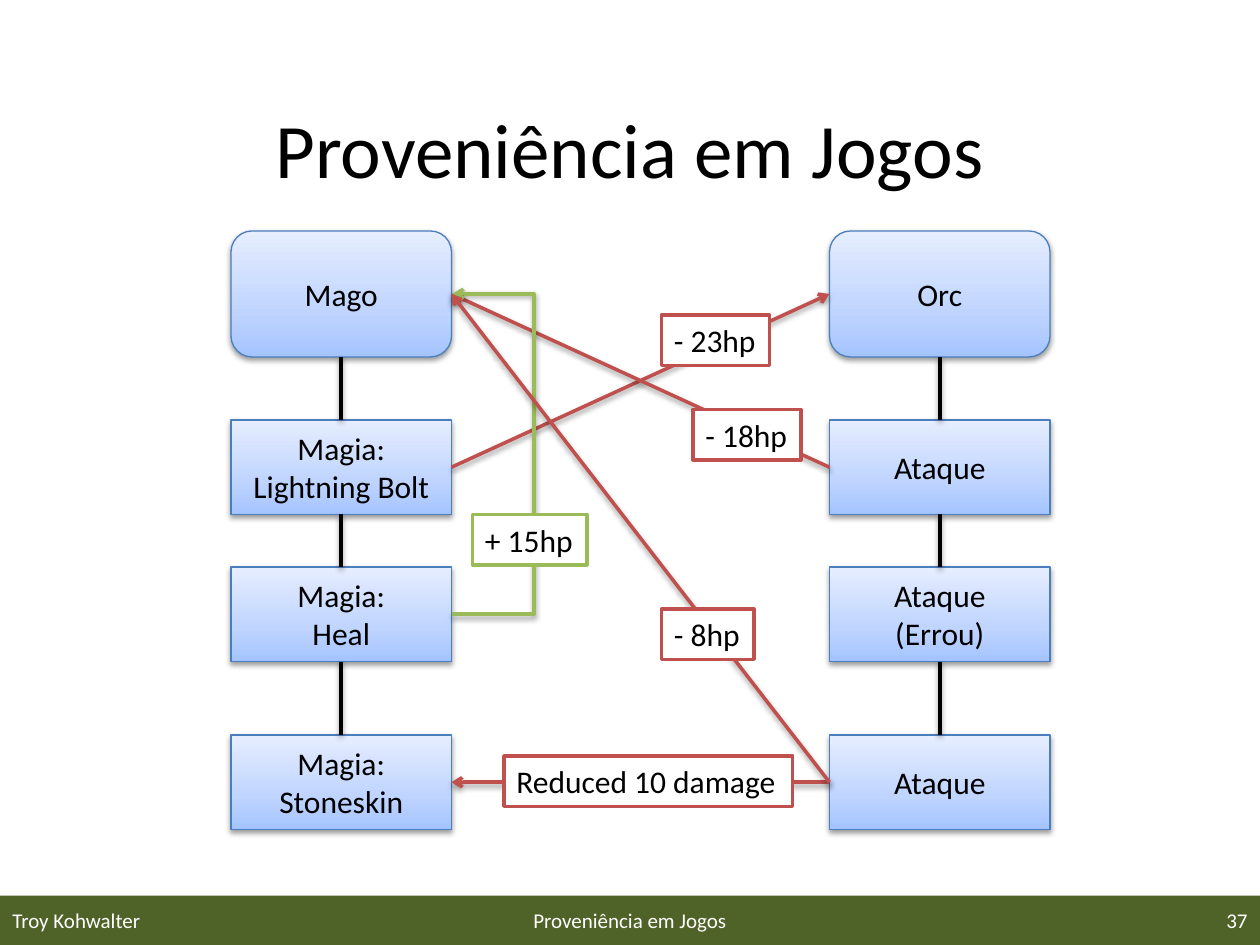
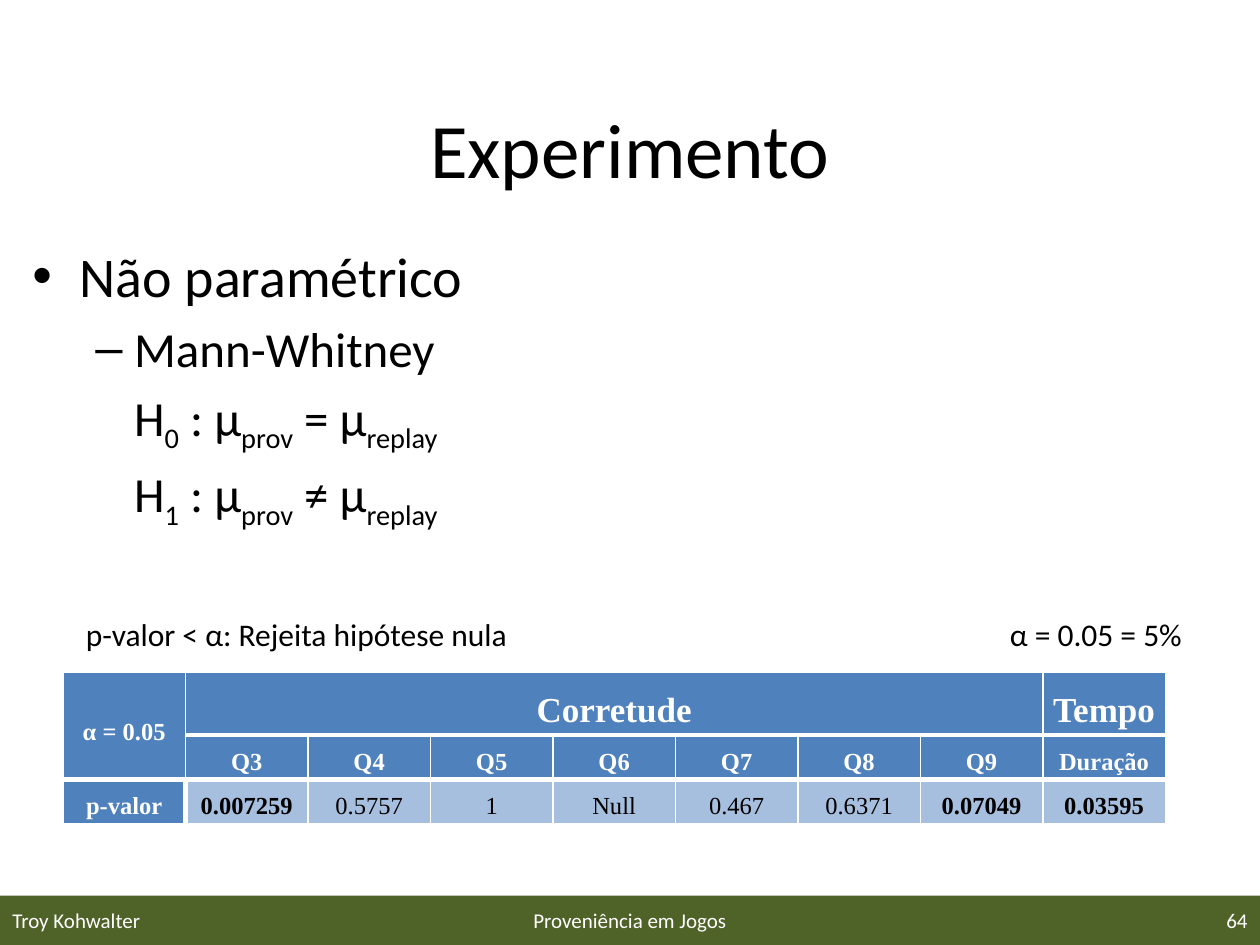
import copy

import lxml.etree
import pptx
import pptx.dml.color
import pptx.enum.shapes
import pptx.enum.text
import pptx.oxml.ns
import pptx.util

PX = 7620
SHAPES = pptx.enum.shapes.MSO_SHAPE
CONNECTORS = pptx.enum.shapes.MSO_CONNECTOR
ALIGN = pptx.enum.text.PP_ALIGN
ANCHOR = pptx.enum.text.MSO_ANCHOR
TOP, LEFT, BOTTOM, RIGHT = range(4)
BLACK, WHITE, RED, GREEN = "000000", "FFFFFF", "C0504D", "9BBB59"
BAND, BOX_LINE = "4F6228", "4B7EBC"
BOX_GRADIENT = ((0, "A4C4FF"), (0.35, "BFD4FF"), (1, "E6EEFF"))
HEADER_FILL, VALUE_FILL = "4F81BD", "A7BFDE"


def px(length):
    return pptx.util.Emu(length * PX)


def rgb(color):
    return pptx.dml.color.RGBColor.from_string(color)


def qn(tag):
    return pptx.oxml.ns.qn(tag)


def child(parent, tag, **attributes):
    return lxml.etree.SubElement(parent, qn(tag), attributes)


class Deck:
    author = "Troy Kohwalter"
    subject = "Proveniência em Jogos"
    font = "Calibri"

    def __init__(self):
        self.presentation = pptx.Presentation()
        self.presentation.slide_width = px(1200)
        self.presentation.slide_height = px(900)
        self.slide = None

    def new_slide(self, title, number):
        self.slide = self.presentation.slides.add_slide(self.presentation.slide_layouts[5])
        heading = self.slide.shapes.title
        heading.left, heading.top, heading.width, heading.height = map(px, (60, 66, 1080, 150))
        self.set_text(heading.text_frame, title, 44, align=ALIGN.CENTER, anchor=ANCHOR.MIDDLE)
        band = self.slide.shapes.add_shape(SHAPES.RECTANGLE, *map(px, (0, 853, 1200, 47)))
        band.shadow.inherit = False
        band.fill.solid()
        band.fill.fore_color.rgb = rgb(BAND)
        band.line.fill.background()
        for left, width, text, align in (
            (0, 280, self.author, ALIGN.LEFT),
            (410, 380, self.subject, ALIGN.CENTER),
            (920, 280, str(number), ALIGN.RIGHT),
        ):
            footer = self.text_area(left, 852, width, 48)
            self.set_text(footer, text, 12, WHITE, align, ANCHOR.MIDDLE)

    def style_run(self, run, size, color=BLACK, font=None, bold=False):
        run.font.size = pptx.util.Pt(size)
        run.font.name = font or self.font
        run.font.color.rgb = rgb(color)
        run.font.bold = bold

    def set_text(self, frame, text, size, color=BLACK, align=ALIGN.LEFT, anchor=ANCHOR.TOP,
                 font=None, bold=False):
        frame.text = text
        frame.vertical_anchor = anchor
        for paragraph in frame.paragraphs:
            paragraph.alignment = align
            for run in paragraph.runs:
                self.style_run(run, size, color, font, bold)

    def text_area(self, left, top, width, height):
        frame = self.slide.shapes.add_textbox(*map(px, (left, top, width, height))).text_frame
        frame.word_wrap = True
        return frame

    def cast_shadow(self, shape):
        properties = shape.element.spPr
        effects = properties.find(qn("a:effectLst"))
        if effects is None:
            effects = child(properties, "a:effectLst")
        shadow = child(effects, "a:outerShdw", blurRad="40000", dist="20000",
                       dir="5400000", rotWithShape="0")
        child(child(shadow, "a:srgbClr", val=BLACK), "a:alpha", val="38000")

    def box(self, left, top, height, text, outline):
        box = self.slide.shapes.add_shape(outline, *map(px, (left, top, 210, height)))
        box.fill.gradient()
        box.fill.gradient_angle = 90
        stops = box.element.spPr.find(".//" + qn("a:gsLst"))
        stops.append(copy.deepcopy(stops[0]))
        for stop, (position, color) in zip(box.fill.gradient_stops, BOX_GRADIENT):
            stop.position = position
            stop.color.rgb = rgb(color)
        box.line.color.rgb = rgb(BOX_LINE)
        box.line.width = pptx.util.Pt(0.75)
        box.shadow.inherit = False
        self.cast_shadow(box)
        self.set_text(box.text_frame, text, 18, align=ALIGN.CENTER, anchor=ANCHOR.MIDDLE)
        return box

    def style_line(self, line, color, arrow):
        line.line.color.rgb = rgb(color)
        line.line.width = pptx.util.Pt(2)
        if arrow:
            child(line.element.spPr.find(qn("a:ln")), "a:tailEnd", type="arrow")
        self.cast_shadow(line)

    def link(self, start, start_side, end, end_side, color, arrow=True):
        link = self.slide.shapes.add_connector(CONNECTORS.STRAIGHT, 0, 0, 0, 0)
        link.begin_connect(start, start_side)
        link.end_connect(end, end_side)
        self.style_line(link, color, arrow)

    def bent_arrow(self, left, start_y, end_y, reach, color):
        bent = self.slide.shapes.add_connector(
            CONNECTORS.ELBOW, *map(px, (left, start_y, left + 1, end_y)))
        adjustments = bent.element.spPr.find(".//" + qn("a:avLst"))
        child(adjustments, "a:gd", name="adj1", fmla=f"val {reach * 100000}")
        self.style_line(bent, color, True)

    def label(self, left, top, width, text, border=None):
        label = self.slide.shapes.add_textbox(*map(px, (left, top, width, 48)))
        label.text_frame.word_wrap = False
        label.text_frame.auto_size = pptx.enum.text.MSO_AUTO_SIZE.SHAPE_TO_FIT_TEXT
        if border:
            label.fill.solid()
            label.fill.fore_color.rgb = rgb(WHITE)
            label.line.color.rgb = rgb(border)
            label.line.width = pptx.util.Pt(2)
        self.set_text(label.text_frame, text, 18)

    def outline(self, left, top, width, height, items):
        frame = self.text_area(left, top, width, height)
        for index, (bullet, margin, indent, size, parts) in enumerate(items):
            paragraph = frame.paragraphs[0] if index == 0 else frame.add_paragraph()
            properties = paragraph._p.get_or_add_pPr()
            properties.set("marL", str(px(margin)))
            properties.set("indent", str(px(indent)))
            if bullet:
                child(properties, "a:buFont", typeface="Arial")
                child(properties, "a:buChar", char=bullet)
            else:
                child(properties, "a:buNone")
            if index:
                paragraph.space_before = pptx.util.Pt(size * 0.2)
            for position, part in enumerate(parts):
                run = paragraph.add_run()
                run.text = part
                self.style_run(run, size)
                if position % 2:
                    run.font._element.set("baseline", "-25000")

    def cell(self, cell, text, size, color, fill, bold, borders):
        cell.margin_left = cell.margin_right = px(8)
        cell.margin_top = cell.margin_bottom = 0
        self.set_text(cell.text_frame, text, size, color, ALIGN.CENTER,
                      font="Times New Roman", bold=bold)
        cell.text_frame.paragraphs[0].line_spacing = 1.5
        properties = cell._tc.get_or_add_tcPr()
        for side, width in zip("LRTB", borders):
            border = child(properties, f"a:ln{side}", w=str(pptx.util.Pt(width)))
            child(child(border, "a:solidFill"), "a:srgbClr", val=WHITE)
        cell.fill.solid()
        cell.fill.fore_color.rgb = rgb(fill)

    def results_table(self, left, top, width, heights, rows, bold_values):
        frame = self.slide.shapes.add_table(
            len(rows), len(rows[0]), *map(px, (left, top, width, sum(heights))))
        table = frame.table
        table.horz_banding = False
        last = len(rows) - 1
        for r, texts in enumerate(rows):
            table.rows[r].height = px(heights[r])
            for c, text in enumerate(texts):
                is_value = r == last and c > 0
                borders = (
                    3 if r == last and c == 1 else 1,
                    3 if r == last and c == 0 else 1,
                    3 if r > 0 else 1,
                    3 if r < last else 1,
                )
                self.cell(table.cell(r, c), text, 20 if r == 0 and c else 14,
                          BLACK if is_value else WHITE,
                          VALUE_FILL if is_value else HEADER_FILL,
                          not is_value or c in bold_values, borders)
        return table


def provenance_slide(deck):
    deck.new_slide("Proveniência em Jogos", 37)
    tops = (220, 400, 540, 700)
    timelines = (
        (220, ("Mago", "Magia:\nLightning Bolt", "Magia:\nHeal", "Magia:\nStoneskin")),
        (790, ("Orc", "Ataque", "Ataque\n(Errou)", "Ataque")),
    )
    columns = []
    for left, events in timelines:
        column = []
        for step, (top, event) in enumerate(zip(tops, events)):
            outline = SHAPES.RECTANGLE if step else SHAPES.ROUNDED_RECTANGLE
            column.append(deck.box(left, top, 90 if step else 120, event, outline))
        for earlier, later in zip(column, column[1:]):
            deck.link(earlier, BOTTOM, later, TOP, BLACK, arrow=False)
        columns.append(column)

    (mage, lightning, _, stoneskin), (orc, first_attack, _, last_attack) = columns
    deck.link(lightning, RIGHT, orc, LEFT, RED)
    deck.link(first_attack, LEFT, mage, RIGHT, RED)
    deck.link(last_attack, LEFT, stoneskin, RIGHT, RED)
    deck.bent_arrow(430, 585, 280, 79, GREEN)
    deck.link(last_attack, LEFT, mage, RIGHT, RED)
    for left, top, width, effect, color in (
        (630, 300, 103, "- 23hp", RED),
        (660, 390, 103, "- 18hp", RED),
        (480, 720, 275, "Reduced 10 damage", RED),
        (450, 490, 109, "+ 15hp", GREEN),
        (630, 580, 88, "- 8hp", RED),
    ):
        deck.label(left, top, width, effect, color)


def experiment_slide(deck):
    deck.new_slide("Experimento", 64)
    hypotheses = [
        (None, 97, 0, 28, ("H", index, " : μ", "prov", f" {relation} μ", "replay"))
        for index, relation in (("0", "="), ("1", "≠"))
    ]
    deck.outline(19, 224, 1163, 619, [
        ("•", 45, -45, 32, ("Não paramétrico",)),
        ("–", 97, -37, 28, ("Mann-Whitney",)),
        *hypotheses,
    ])
    questions = [f"Q{number}" for number in range(3, 10)]
    results = deck.results_table(60, 640, 1050, (55, 38, 38), (
        ("α = 0.05", "Corretude", *[""] * 6, "Tempo"),
        ("", *questions, "Duração"),
        ("p-valor", "0.007259", "0.5757", "1", "Null", "0.467", "0.6371", "0.07049", "0.03595"),
    ), bold_values=(1, 7, 8))
    results.cell(0, 0).merge(results.cell(1, 0))
    results.cell(0, 0).vertical_anchor = ANCHOR.MIDDLE
    results.cell(0, 1).merge(results.cell(0, 7))
    deck.label(950, 580, 191, "α = 0.05 = 5%")
    deck.label(70, 580, 431, "p-valor < α: Rejeita hipótese nula")


def main():
    deck = Deck()
    provenance_slide(deck)
    experiment_slide(deck)
    deck.presentation.save("out.pptx")


if __name__ == "__main__":
    main()
